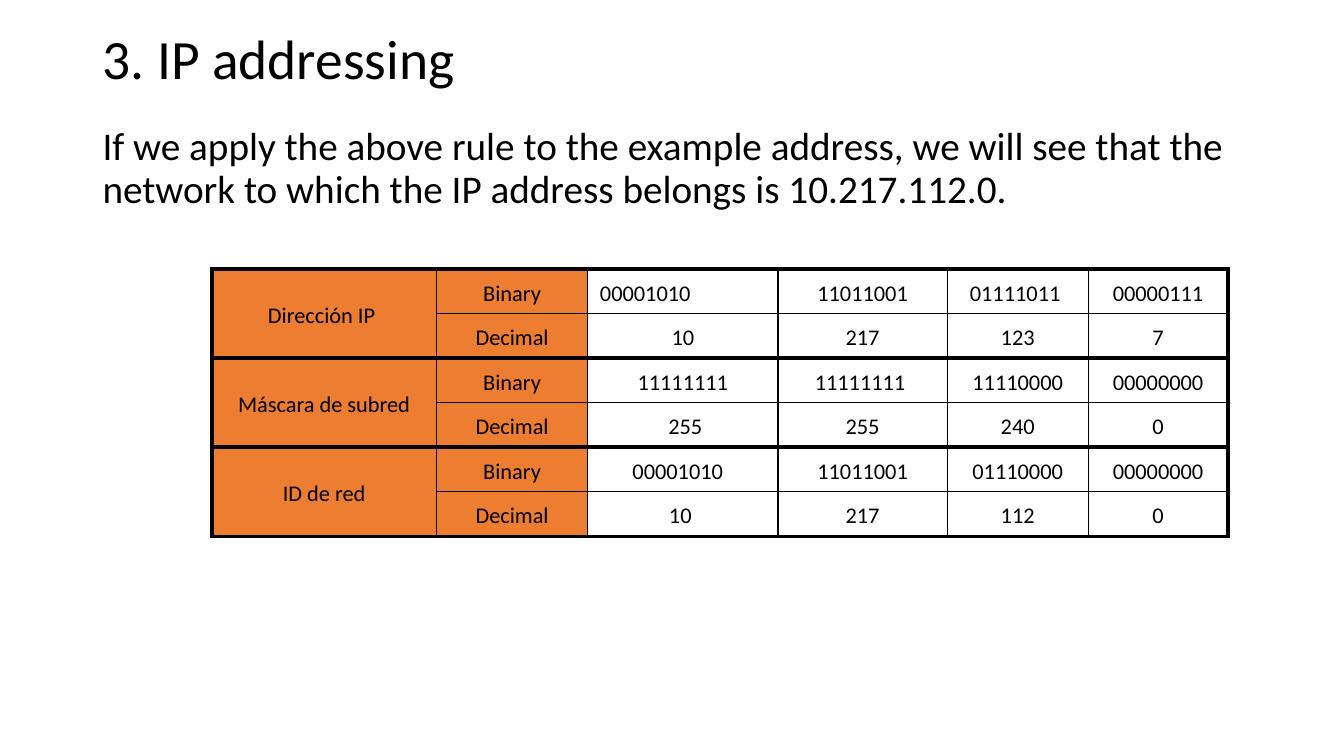
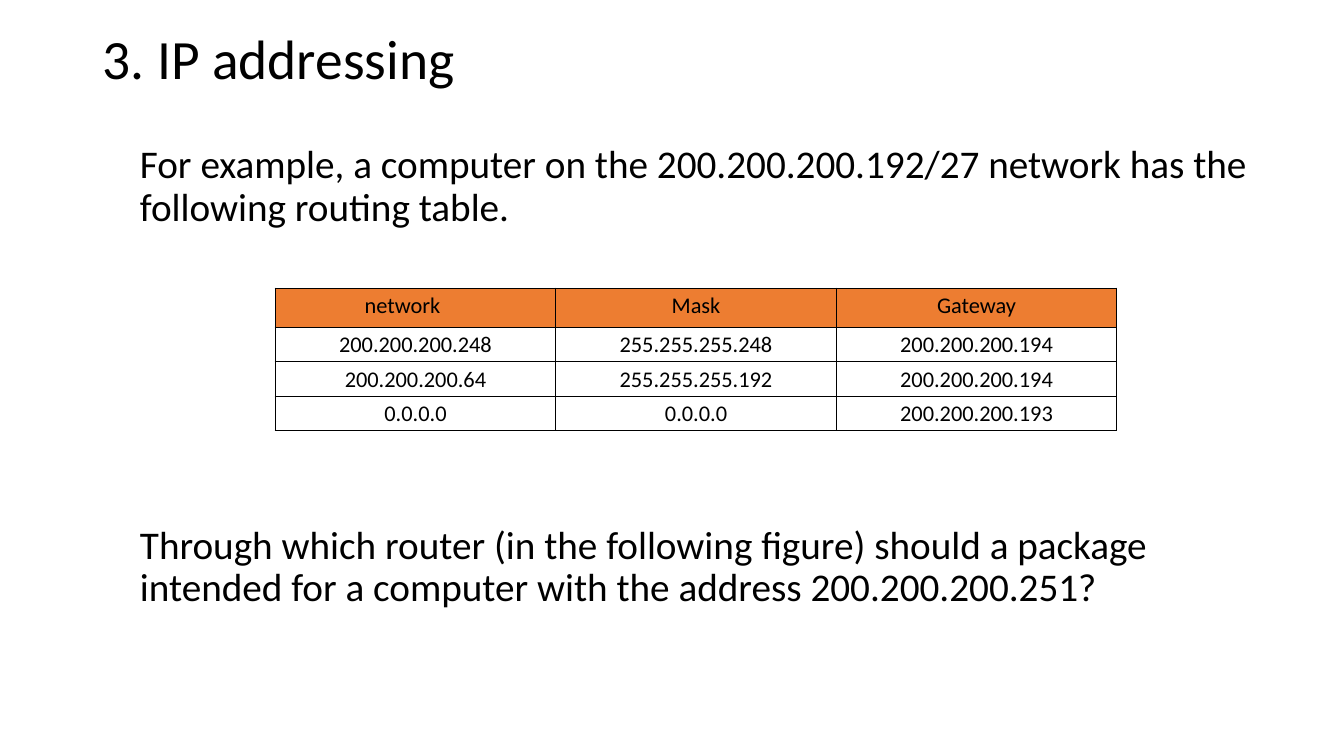
from lxml import etree
from pptx import Presentation
from pptx.dml.color import RGBColor
from pptx.enum.text import MSO_ANCHOR, PP_ALIGN
from pptx.oxml.ns import qn
from pptx.util import Pt

TOP, MID = MSO_ANCHOR.TOP, MSO_ANCHOR.MIDDLE
LEFT, CENTER = PP_ALIGN.LEFT, PP_ALIGN.CENTER

COLORS = {"ink": "000000", "head": "ED7D31", "cell": "FFFFFF"}
FONT = "Calibri"
THIN, THICK, INSET = 1, 3, 5

TITLE = {"lines": [("3. IP addressing", 0)], "box": (66.2, 20.2, 828, 46.8),
         "size": 39.6, "anchor": MID}

SLIDES = [
    {
        "body": {
            "lines": [("If we apply the above rule to the example address, we will see that the "
                       "network to which the IP address belongs is 10.217.112.0.", 10)],
            "box": (66.2, 87.1, 828, 386), "size": 28, "anchor": TOP},
        "table": {
            "rows": [
                ("Dirección IP", "Binary", "00001010", "11011001", "01111011", "00000111"),
                ("", "Decimal", "10", "217", "123", "7"),
                ("Máscara de subred", "Binary", "11111111", "11111111", "11110000", "00000000"),
                ("", "Decimal", "255", "255", "240", "0"),
                ("ID de red", "Binary", "00001010", "11011001", "01110000", "00000000"),
                ("", "Decimal", "10", "217", "112", "0")],
            "at": (151.2, 192.2), "anchor": MID,
            "widths": [160.6, 108, 135.9, 121, 100.6, 100],
            "heights": [31.85] * 6,
            "heads": (0, 2), "group": 2,
            "nudge": {(0, 0): 3.6, (0, 2): 53.6, (0, 4): 3.6, (2, 3): 3.6,
                      (3, 2): -3.6, (4, 2): 7.2, (5, 2): 3.6}},
    },
    {
        "body": {
            "lines": [("For example, a computer on the 200.200.200.192/27 network has the "
                       "following routing table.", 10),
                      ("Through which router (in the following figure) should a package "
                       "intended for a computer with the address 200.200.200.251?", 211)],
            "box": (92.9, 100.1, 807.8, 396.7), "size": 28, "anchor": TOP},
        "table": {
            "rows": [
                ("network", "Mask", "Gateway"),
                ("200.200.200.248", "255.255.255.248", "200.200.200.194"),
                ("200.200.200.64", "255.255.255.192", "200.200.200.194"),
                ("0.0.0.0", "0.0.0.0", "200.200.200.193")],
            "at": (196.6, 205.9), "anchor": TOP,
            "widths": [200.4] * 3,
            "heights": [28] + [24.6] * 3,
            "heads": (1, 0), "group": 0,
            "nudge": {(0, 0): 18.6}},
    },
]


def rgb(name):
    return RGBColor.from_string(COLORS[name])


def write(para, text, size, align, **style):
    run = para.add_run()
    run.text = text
    for key, value in {"name": FONT, "size": Pt(size)}.items():
        setattr(run.font, key, value)
    run.font.color.rgb = rgb("ink")
    para.alignment = align
    for key, value in style.items():
        setattr(para, key, value)


def add_text(slide, lines, box, size, anchor):
    frame = slide.shapes.add_textbox(*map(Pt, box)).text_frame
    frame.word_wrap = True
    frame.vertical_anchor = anchor
    for i, (text, gap) in enumerate(lines):
        para = frame.add_paragraph() if i else frame.paragraphs[0]
        write(para, text, size, LEFT, line_spacing=0.9, space_before=Pt(gap))


def edge(cell, sides):
    props = cell._tc.get_or_add_tcPr()
    for i, (side, width) in enumerate(sides.items()):
        line = etree.Element(qn("a:ln" + side), w=str(Pt(width)))
        fill = etree.SubElement(line, qn("a:solidFill"))
        etree.SubElement(fill, qn("a:srgbClr"), val=COLORS["ink"])
        props.insert(i, line)


def add_grid(slide, rows, at, anchor, widths, heights, heads, group, nudge):
    size = sum(widths), sum(heights)
    grid = slide.shapes.add_table(len(rows), len(widths), *map(Pt, at + size)).table
    grid.first_row = grid.horz_banding = False
    for col, width in zip(grid.columns, widths):
        col.width = Pt(width)
    for row, height in zip(grid.rows, heights):
        row.height = Pt(height)
    if group:
        for r in range(0, len(rows), group):
            grid.cell(r, 0).merge(grid.cell(r + group - 1, 0))
    for r, row in enumerate(rows):
        for c, text in enumerate(row):
            cell = grid.cell(r, c)
            look = {"margin_left": Pt(INSET), "margin_right": Pt(INSET + nudge.get((r, c), 0)),
                    "margin_top": 0, "margin_bottom": 0, "vertical_anchor": anchor}
            for key, value in look.items():
                setattr(cell, key, value)
            cell.fill.solid()
            cell.fill.fore_color.rgb = rgb("head" if r < heads[0] or c < heads[1] else "cell")
            if text:
                write(cell.text_frame.paragraphs[0], text, 16, CENTER, line_spacing=1.15)
            bold = {"L": c == 0, "R": c == len(row) - 1,
                    "T": group and r % group == 0,
                    "B": group and (c == 0 or r % group == group - 1)}
            edge(cell, {side: THICK if group and on else THIN for side, on in bold.items()})


def main():
    deck = Presentation()
    deck.slide_width, deck.slide_height = Pt(960), Pt(540)
    for page in SLIDES:
        slide = deck.slides.add_slide(deck.slide_layouts[6])
        add_text(slide, **TITLE)
        add_text(slide, **page["body"])
        add_grid(slide, **page["table"])
    deck.save("out.pptx")


if __name__ == "__main__":
    main()
